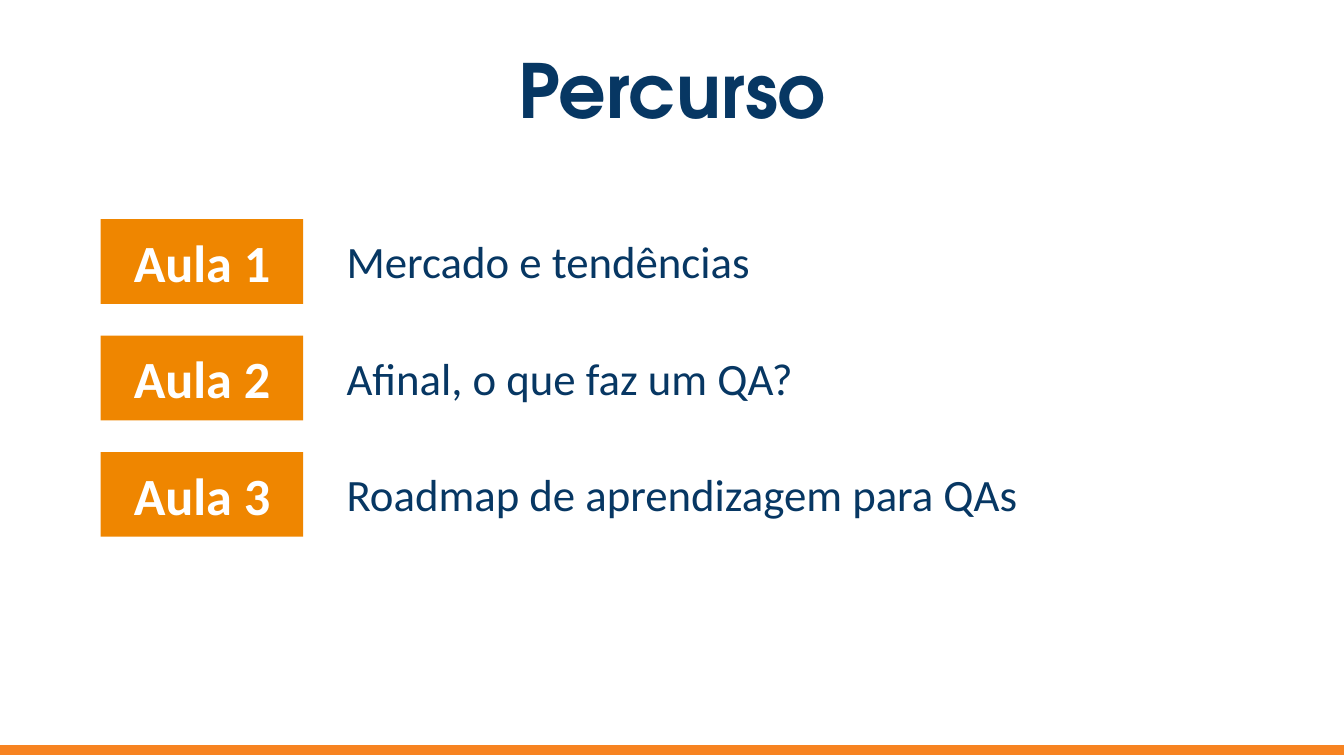
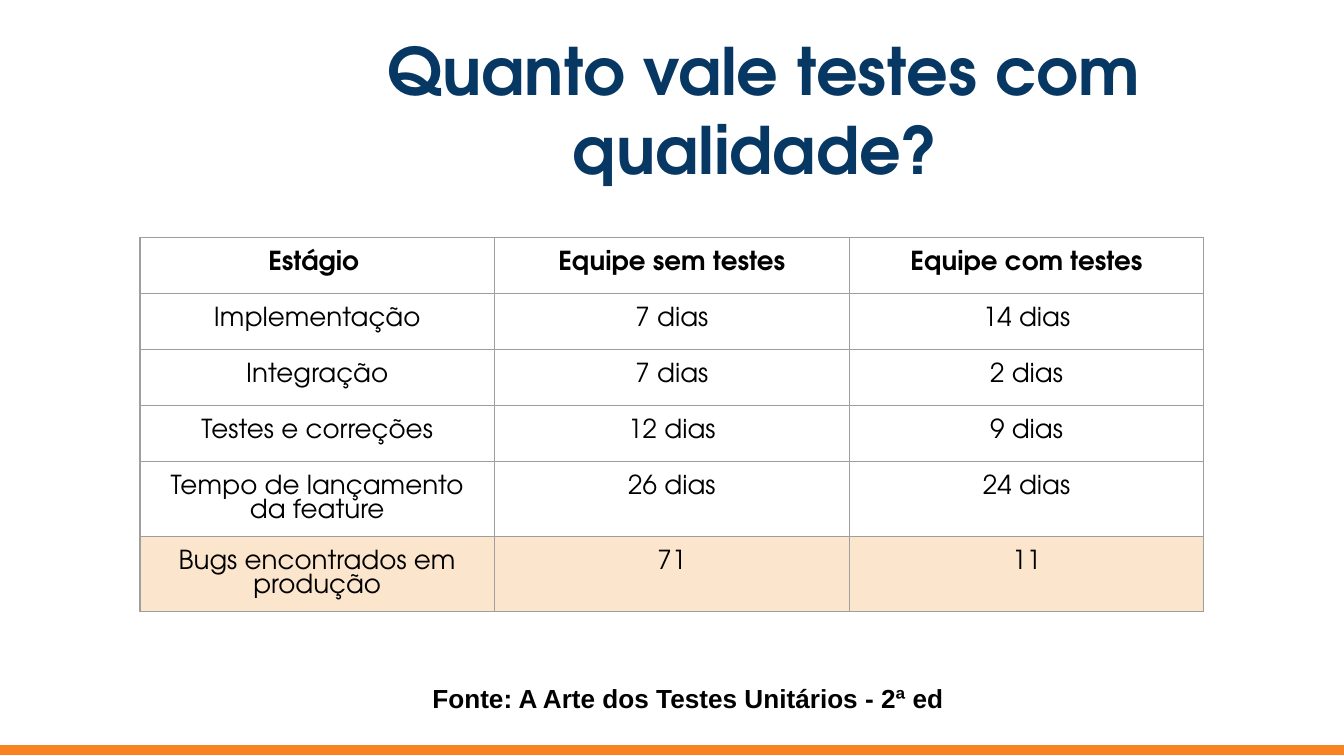
from lxml import etree
from pptx import Presentation
from pptx.dml import color
from pptx.enum import shapes, text
from pptx.oxml import ns
from pptx.util import Pt

NAVY, ORANGE, BAND = "073763", "EF8600", "F78321"
PEACH, GREY, WHITE, BLACK = "FCE5CD", "9E9E9E", "FFFFFF", "000000"
DISPLAY, BODY, SOURCE = "TeX Gyre Adventor", "Calibri", "Arial"
WIDTH, HEIGHT = 720, 405
INSET = 7.2


def rgb(value):
    return color.RGBColor.from_string(value)


class Deck:
    def __init__(self):
        self.file = Presentation()
        self.file.slide_width, self.file.slide_height = Pt(WIDTH), Pt(HEIGHT)
        self.slide = None

    def new_slide(self):
        self.slide = self.file.slides.add_slide(self.file.slide_layouts[6])
        self.rect(0, 399.6, WIDTH, 4.5, BAND, BAND)

    def rect(self, left, top, width, height, fill, line=None):
        box = self.slide.shapes.add_shape(
            shapes.MSO_SHAPE.RECTANGLE, Pt(left), Pt(top), Pt(width), Pt(height))
        box.shadow.inherit = False
        box.fill.solid()
        box.fill.fore_color.rgb = rgb(fill)
        if line:
            box.line.color.rgb = rgb(line)
            box.line.width = Pt(0.75)
        else:
            box.line.fill.background()
        return box

    def put_text(self, frame, words, size, font, ink, bold=False, align="LEFT", spacing=None):
        paragraph = frame.paragraphs[0]
        paragraph.alignment = text.PP_ALIGN[align]
        if spacing:
            paragraph.line_spacing = Pt(spacing)
        run = paragraph.add_run()
        run.text = words
        look = {"size": Pt(size), "name": font, "bold": bold}
        for key, value in look.items():
            setattr(run.font, key, value)
        run.font.color.rgb = rgb(ink)

    def fit(self, frame, inset_y=INSET, anchor="TOP"):
        layout = {
            "word_wrap": True,
            "vertical_anchor": text.MSO_ANCHOR[anchor],
            "margin_left": Pt(INSET), "margin_right": Pt(INSET),
            "margin_top": Pt(inset_y), "margin_bottom": Pt(inset_y),
        }
        for key, value in layout.items():
            setattr(frame, key, value)

    def label(self, left, top, width, height, words, size, font, ink,
              inset_y=INSET, anchor="TOP", **style):
        box = self.slide.shapes.add_textbox(Pt(left), Pt(top), Pt(width), Pt(height))
        self.fit(box.text_frame, inset_y, anchor)
        self.put_text(box.text_frame, words, size, font, ink, **style)

    def title(self, left, top, width, words, size):
        self.label(left, top, width, 46.8, words, size, DISPLAY, NAVY, anchor="MIDDLE",
                   bold=True, align="CENTER", spacing=round(size * 1.21, 1))

    def badge(self, left, top, width, height, words):
        box = self.rect(left, top, width, height, ORANGE)
        self.fit(box.text_frame, anchor="MIDDLE")
        self.put_text(box.text_frame, words, 28, BODY, WHITE, bold=True, align="CENTER")

    def border(self, cell):
        properties = cell._tc.get_or_add_tcPr()
        for position, side in enumerate(("a:lnL", "a:lnR", "a:lnT", "a:lnB")):
            line = etree.Element(ns.qn(side), w=str(Pt(0.75)))
            fill = etree.SubElement(line, ns.qn("a:solidFill"))
            etree.SubElement(fill, ns.qn("a:srgbClr"), val=GREY)
            properties.insert(position, line)

    def table(self, left, top, column_width, row_height, rows):
        columns = len(rows[0])
        grid = self.slide.shapes.add_table(
            len(rows), columns, Pt(left), Pt(top),
            Pt(column_width * columns), Pt(row_height * len(rows))).table
        grid.first_row = grid.horz_banding = False
        for r, row in enumerate(rows):
            grid.rows[r].height = Pt(row_height)
            for c, words in enumerate(row):
                cell = grid.cell(r, c)
                for side in ("left", "right", "top", "bottom"):
                    setattr(cell, f"margin_{side}", Pt(INSET))
                if r == len(rows) - 1:
                    cell.fill.solid()
                    cell.fill.fore_color.rgb = rgb(PEACH)
                else:
                    cell.fill.background()
                self.border(cell)
                self.put_text(cell.text_frame, words, 14, DISPLAY, BLACK,
                              bold=r == 0, align="CENTER", spacing=12.9)


def path_slide(deck):
    deck.new_slide()
    deck.title(24.5, 23.8, 671, "Percurso", 40)
    lessons = ["Mercado e tendências", "Afinal, o que faz um QA?",
               "Roadmap de aprendizagem para QAs"]
    for number, topic in enumerate(lessons):
        top = 117.4 + 62.4 * number
        deck.badge(54, top, 108.5, 45.4, f"Aula {number + 1}")
        deck.label(178.6, top + 4.5, 504, 36, topic, 24, BODY, NAVY, inset_y=3.6)


def value_slide(deck):
    deck.new_slide()
    deck.title(158.4, 34.6, 502, "Quanto vale testes com qualidade? ", 35)
    deck.table(75, 127.4, 190, 30, [
        ("Estágio ", "Equipe sem testes", "Equipe com testes"),
        ("Implementação", "7 dias", "14 dias"),
        ("Integração", "7 dias", "2 dias"),
        ("Testes e correções", "12 dias", "9 dias"),
        ("Tempo de lançamento da feature", "26 dias", "24 dias"),
        ("Bugs encontrados em produção", "71", "11"),
    ])
    deck.label(224.6, 358.6, 305, 31.7, "Fonte: A Arte dos Testes Unitários - 2ª ed",
               14, SOURCE, BLACK, bold=True)


def main():
    deck = Deck()
    path_slide(deck)
    value_slide(deck)
    deck.file.save("out.pptx")


if __name__ == "__main__":
    main()
